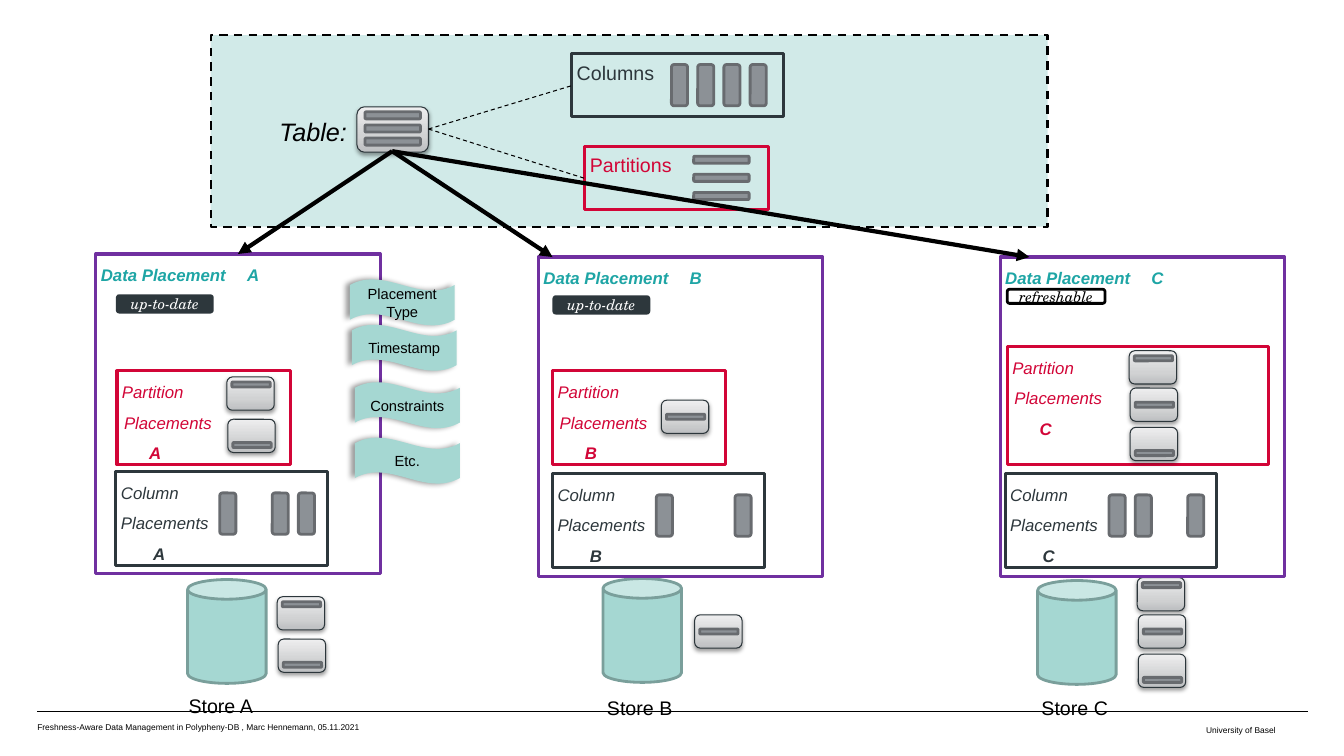
from dataclasses import dataclass

from lxml import etree
from pptx import Presentation
from pptx.dml.color import RGBColor
from pptx.enum.dml import MSO_LINE
from pptx.enum.shapes import MSO_CONNECTOR, MSO_SHAPE
from pptx.enum.text import MSO_ANCHOR, PP_ALIGN
from pptx.oxml.ns import qn
from pptx.util import Emu, Pt

RECTANGLE, ROUNDED = MSO_SHAPE.RECTANGLE, MSO_SHAPE.ROUNDED_RECTANGLE
CAN, WAVE = MSO_SHAPE.CAN, MSO_SHAPE.WAVE
STRAIGHT, DASH = MSO_CONNECTOR.STRAIGHT, MSO_LINE.DASH
TOP, MIDDLE = MSO_ANCHOR.TOP, MSO_ANCHOR.MIDDLE
LEFT, CENTER, RIGHT = PP_ALIGN.LEFT, PP_ALIGN.CENTER, PP_ALIGN.RIGHT
EMU_PER_PX = 9144
TEXT_INSET = 5


@dataclass(frozen=True)
class Theme:
    font: str = "Arial"
    badge_font: str = "TeX Gyre Schola"
    black: str = "000000"
    white: str = "FFFFFF"
    mint: str = "A5D7D2"
    mint_edge: str = "7A9F9B"
    teal: str = "1EA5A5"
    red: str = "D20537"
    slate: str = "2D373C"
    card_edge: str = "2C363B"
    purple: str = "7030A0"
    bar: str = "8C9196"
    bar_edge: str = "686B6F"
    card_stops: tuple = ((0, "BDBFC1"), (35, "D1D2D3"), (100, "EEEEEF"))
    footer: float = 6
    tag: float = 10.5
    body: float = 12
    label: float = 14
    table: float = 18
    leading: float = 22
    frame_line: float = 2.25


THEME = Theme()


@dataclass(frozen=True)
class Store:
    name: str
    frame: tuple
    badge: tuple
    partitions: tuple
    columns: tuple
    column_slots: tuple
    cards: tuple
    stored_offset: tuple
    can: tuple
    label: tuple
    refreshable: bool = False


STORES = (
    Store("A", (95, 252), (115, 292, 97, 19), (116, 368, 172, 93), (115, 468), (0, 2, 3),
          ((225, 374, 0), (226, 416, 2)), (50, 218), (186, 575), (187, 681)),
    Store("B", (534, 255), (548, 293, 97, 19), (548, 368, 172, 93), (548, 470), (0, 3),
          ((656, 397, 1),), (33, 213), (598, 574), (602, 683)),
    Store("C", (992, 255), (999, 287, 97, 14), (999, 344, 259, 117), (997, 470), (0, 1, 3),
          ((1120, 348, 0), (1121, 385, 1), (1121, 424, 2)), (8, 225), (1029, 576),
          (1033, 683), True),
)
WAVES = (("Placement\nType", 347, 277), ("Timestamp", 349, 322),
         ("Constraints", 352, 379), ("Etc.", 352, 434))


def px(value):
    return Emu(value * EMU_PER_PX)


def add_element(parent, tag, **attributes):
    return etree.SubElement(parent, qn(tag), attributes)


def add_box(slide, kind, box, fill=None, line=None, width=THEME.frame_line):
    shape = slide.shapes.add_shape(kind, *map(px, box))
    shape.shadow.inherit = False
    if fill:
        shape.fill.solid()
        shape.fill.fore_color.rgb = RGBColor.from_string(fill)
    else:
        shape.fill.background()
    if line:
        shape.line.color.rgb = RGBColor.from_string(line)
        shape.line.width = Pt(width)
    else:
        shape.line.fill.background()
    return shape


def add_shadow(shape, opacity, blur, distance, angle):
    effects = shape.element.spPr.find(qn("a:effectLst"))
    shadow = add_element(effects, "a:outerShdw", blurRad=str(Pt(blur)), dist=str(Pt(distance)),
                         dir=str(angle * 60000), algn="ctr", rotWithShape="0")
    color = add_element(shadow, "a:srgbClr", val=THEME.black)
    add_element(color, "a:alpha", val=str(opacity * 1000))


def write(shape, text, size, color, bold=False, italic=False, font=THEME.font, align=LEFT,
          anchor=TOP, insets=(0, 0, 0, 0), leading=None, indents=(), tab=None):
    frame = shape.text_frame
    frame.word_wrap = True
    frame.vertical_anchor = anchor
    frame.margin_left, frame.margin_top, frame.margin_right, frame.margin_bottom = map(px, insets)
    frame.text = text
    for paragraph in frame.paragraphs:
        paragraph.alignment = align
        if tab:
            tabs = add_element(paragraph._p.get_or_add_pPr(), "a:tabLst")
            add_element(tabs, "a:tab", pos=str(px(tab)), algn="l")
        if leading:
            paragraph.line_spacing = Pt(leading)
        for run in paragraph.runs:
            run.font.name, run.font.size = font, Pt(size)
            run.font.bold, run.font.italic = bold, italic
            run.font.color.rgb = RGBColor.from_string(color)
    for paragraph, indent in zip(frame.paragraphs, indents):
        paragraph._p.get_or_add_pPr().set("marL", str(px(indent)))


def add_label(slide, box, text, size, **style):
    write(slide.shapes.add_textbox(*map(px, box)), text, size, THEME.black, **style)


def add_line(slide, start, end, width, dashed=False, arrow=False):
    connector = slide.shapes.add_connector(STRAIGHT, *map(px, start + end))
    connector.line.color.rgb = RGBColor.from_string(THEME.black)
    connector.line.width = Pt(width)
    if dashed:
        connector.line.dash_style = DASH
    if arrow:
        add_element(connector.line._get_or_add_ln(), "a:tailEnd", type="triangle")
    add_element(connector.element.spPr, "a:effectLst")


def add_bar(slide, *box):
    add_box(slide, ROUNDED, box, THEME.bar, THEME.bar_edge, 2)


def add_card(slide, box):
    card = add_box(slide, ROUNDED, box, line=THEME.card_edge, width=0.75)
    card.fill.gradient()
    card.fill.gradient_angle = 90
    stops = card.element.spPr.find(qn("a:gradFill")).find(qn("a:gsLst"))
    for stop in list(stops):
        stops.remove(stop)
    for position, color in THEME.card_stops:
        stop = add_element(stops, "a:gs", pos=str(position * 1000))
        add_element(stop, "a:srgbClr", val=color)
    add_shadow(card, 38, 3.1, 1.6, 90)


def add_partition_card(slide, left, top, slot):
    add_card(slide, (left, top, 47, 33))
    add_bar(slide, left + 5, top + 5 + 9 * slot, 38, 5)


def add_column_bars(slide, left, top, slots):
    for slot in slots:
        add_bar(slide, left + 26 * slot, top, 16, 41)


def add_framed_text(slide, box, color, text, size, **style):
    shape = add_box(slide, RECTANGLE, box, line=color)
    write(shape, text, size, color, insets=(TEXT_INSET, 0, 0, 0), leading=THEME.leading, **style)
    return shape


def add_table_overview(slide):
    panel = add_box(slide, RECTANGLE, (209, 35, 830, 190), THEME.mint, THEME.black, 1.5)
    panel.line.dash_style = DASH
    color = panel.element.spPr.find(qn("a:solidFill")).find(qn("a:srgbClr"))
    add_element(color, "a:alpha", val="50000")
    add_card(slide, (354, 106, 71, 45))
    add_framed_text(slide, (580, 145, 182, 63), THEME.red, "Partitions", THEME.label)
    add_framed_text(slide, (567, 53, 210, 63), THEME.slate, "Columns", THEME.label)
    for row in range(3):
        add_bar(slide, 362, 111 + 13 * row, 55, 7)
        add_bar(slide, 688, 155 + 18 * row, 55, 7)
    add_column_bars(slide, 666, 64, range(4))
    add_label(slide, (277, 115, 130, 38), "Table:", THEME.table, italic=True,
              leading=THEME.leading)
    for end in ((567, 85), (580, 177)):
        add_line(slide, (425, 128), end, 0.75, dashed=True)


def add_placement_list(slide, box, color, kind, name, indents):
    shape = add_framed_text(slide, box, color, f"{kind}\nPlacements\n{name}", THEME.body,
                            italic=True, indents=indents)
    shape.text_frame.paragraphs[-1].runs[0].font.bold = True


def add_store(slide, store):
    add_box(slide, CAN, (*store.can, 78, 103), THEME.mint, THEME.mint_edge, 2)
    add_label(slide, (*store.label, 130, 38), f"Store {store.name}", THEME.label,
              leading=THEME.leading)
    add_placement_list(slide, store.partitions, THEME.red, "Partition", store.name, (0, 2, 27))
    add_placement_list(slide, (*store.columns, 210, 93), THEME.slate, "Column", store.name,
                       (0, 0, 32))
    left, top = store.columns
    add_column_bars(slide, left + 103, top + 21, store.column_slots)
    across, down = store.stored_offset
    for left, top, slot in store.cards:
        add_partition_card(slide, left, top, slot)
        add_partition_card(slide, left + across, top + down, slot)
    add_framed_text(slide, (*store.frame, 282, 317), THEME.purple, f"Data Placement\t{store.name}",
                    THEME.body, bold=True, italic=True, tab=145)
    frame_text = slide.shapes[-1].text_frame.paragraphs[0].runs[0]
    frame_text.font.color.rgb = RGBColor.from_string(THEME.teal)
    if store.refreshable:
        text, fill, ink, line = "refreshable", THEME.white, THEME.black, THEME.black
    else:
        text, fill, ink, line = "up-to-date", THEME.slate, THEME.white, None
    badge = add_box(slide, ROUNDED, store.badge, fill, line, 2)
    write(badge, text, THEME.tag, ink, italic=True, font=THEME.badge_font, align=CENTER,
          anchor=MIDDLE)


def add_wave(slide, text, left, top):
    wave = add_box(slide, WAVE, (left, top, 104, 46), THEME.mint)
    add_shadow(wave, 40, 4, 3, 180)
    write(wave, text, THEME.tag, THEME.black, align=CENTER, anchor=MIDDLE)


def add_footer(slide):
    add_line(slide, (37, 706), (1297, 706), 0.25)
    add_label(slide, (997, 714, 278, 20), "University of Basel", THEME.footer, align=RIGHT,
              insets=(10, 5, 10, 5))
    add_label(slide, (37, 714, 339, 20),
              "Freshness-Aware Data Management in Polypheny-DB , Marc Hennemann, 05.11.2021",
              THEME.footer, insets=(0, 2, 0, 0))


def main():
    presentation = Presentation()
    presentation.slide_width, presentation.slide_height = px(1333), px(750)
    slide = presentation.slides.add_slide(presentation.slide_layouts[6])
    add_footer(slide)
    add_table_overview(slide)
    for store in STORES:
        add_store(slide, store)
    for wave in WAVES:
        add_wave(slide, *wave)
    for end in ((236, 252), (548, 255), (1021, 255)):
        add_line(slide, (389, 150), end, 3, arrow=True)
    presentation.save("out.pptx")


if __name__ == "__main__":
    main()
